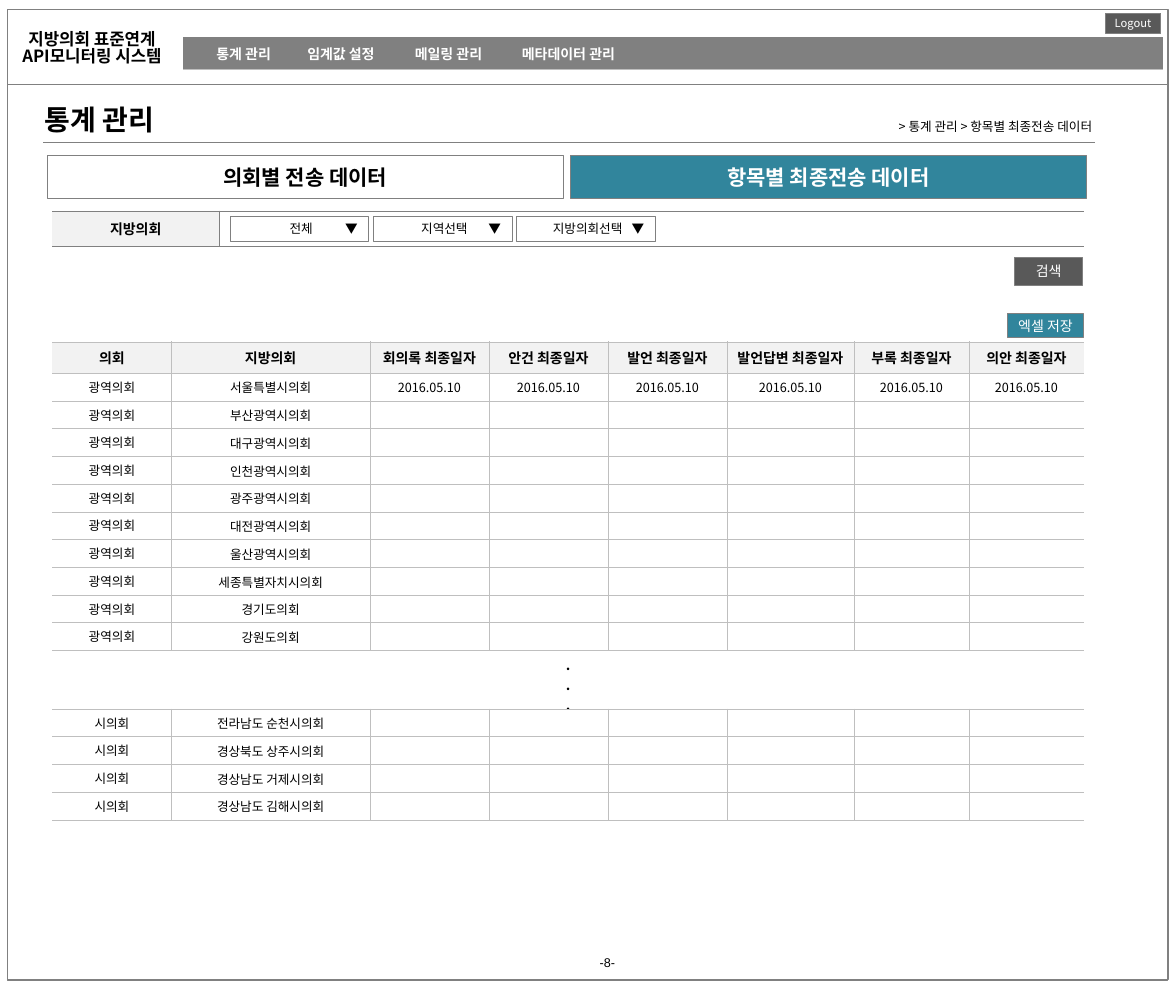
import pptx
import pptx.util
import pptx.dml.color
import pptx.enum.shapes
import pptx.enum.text
import pptx.oxml.ns
from lxml import etree

Cm, Pt = pptx.util.Cm, pptx.util.Pt
qn = pptx.oxml.ns.qn
ALIGN = pptx.enum.text.PP_ALIGN
MIDDLE = pptx.enum.text.MSO_ANCHOR.MIDDLE

FONT = "Noto Sans CJK KR"
NO_STYLE = "{2D5ABB26-0587-4C30-8999-92F81FD0307C}"
COLORS = {"text": "000000", "white": "FFFFFF", "gray": "808080", "dark": "595959",
          "teal": "31859C", "head": "F2F2F2", "grid": "BFBFBF"}

SYSTEM = "지방의회 표준연계 API모니터링 시스템"
TITLE = "통계 관리"
BREADCRUMB = "> 통계 관리 > 항목별 최종전송 데이터"
PAGE = "-8-"
MENU = [("통계 관리", 0.58), ("임계값 설정", 2.87), ("메일링 관리", 5.58), ("메타데이터 관리", 8.28)]
TABS = [("의회별 전송 데이터", "white", "text"), ("항목별 최종전송 데이터", "teal", "white")]
FILTER = "지방의회"
DROPDOWNS = ["전체", "지역선택", "지방의회선택"]
BUTTONS = [("Logout", (27.86, 0.33, 1.4, 0.51), "dark", 8),
           ("검색", (25.58, 6.48, 1.7, 0.71), "dark", 10),
           ("엑셀 저장", (25.4, 7.9, 1.9, 0.61), "teal", 10)]
HEADERS = ["의회", "지방의회", "회의록 최종일자", "안건 최종일자", "발언 최종일자",
           "발언답변 최종일자", "부록 최종일자", "의안 최종일자"]
COL_WIDTHS = [3, 5, 3, 3, 3, 3.2, 2.9, 2.9]
METRO = ["서울특별시의회", "부산광역시의회", "대구광역시의회", "인천광역시의회", "광주광역시의회",
         "대전광역시의회", "울산광역시의회", "세종특별자치시의회", "경기도의회", "강원도의회"]
CITIES = ["전라남도 순천시의회", "경상북도 상주시의회", "경상남도 거제시의회", "경상남도 김해시의회"]
LAST_SENT = {"서울특별시의회": "2016.05.10"}


def rgb(name):
    return pptx.dml.color.RGBColor.from_string(COLORS[name])


def write(tf, text, size, color="text", bold=False, align=ALIGN.CENTER, font=FONT, tabs=()):
    tf.text = text
    for p in tf.paragraphs:
        p.alignment = align
        if tabs:
            stops = etree.SubElement(p._p.get_or_add_pPr(), qn("a:tabLst"))
            for pos, kind in tabs:
                etree.SubElement(stops, qn("a:tab"), pos=str(Cm(pos)), algn=kind)
        for r in p.runs:
            r.font.size, r.font.bold, r.font.name = Pt(size), bold, font
            r.font.color.rgb = rgb(color)
            etree.SubElement(r._r.get_or_add_rPr(), qn("a:ea"), typeface=font)
        if not p.runs:
            etree.SubElement(p._p, qn("a:endParaRPr"), sz=str(size * 100))


def set_margins(target, side, top, bottom):
    target.margin_left = target.margin_right = Cm(side)
    target.margin_top, target.margin_bottom = Cm(top), Cm(bottom)


def add_rect(s, box, fill=None, width=0.25):
    sp = s.shapes.add_shape(pptx.enum.shapes.MSO_SHAPE.RECTANGLE, *map(Cm, box))
    sp.shadow.inherit = False
    if fill:
        sp.fill.solid()
        sp.fill.fore_color.rgb = rgb(fill)
    else:
        sp.fill.background()
    sp.line.color.rgb = rgb("gray")
    sp.line.width = Pt(width)
    sp.text_frame.vertical_anchor = MIDDLE
    return sp


def add_text(s, box, side, *args, **kwargs):
    tf = s.shapes.add_textbox(*map(Cm, box)).text_frame
    tf.word_wrap = True
    tf.vertical_anchor = MIDDLE
    set_margins(tf, side, 0.13, 0.13)
    write(tf, *args, **kwargs)
    return tf


def add_table(s, left, top, widths, heights):
    frame = s.shapes.add_table(len(heights), len(widths), Cm(left), Cm(top),
                               Cm(sum(widths)), Cm(sum(heights)))
    table = frame.table
    table.first_row = table.horz_banding = False
    table._tbl.tblPr.find(qn("a:tableStyleId")).text = NO_STYLE
    for col, width in zip(table.columns, widths):
        col.width = Cm(width)
    for row, height in zip(table.rows, heights):
        row.height = Cm(height)
    return table


def style_cell(cell, fill, sides, color):
    cell.vertical_anchor = MIDDLE
    tcPr = cell._tc.get_or_add_tcPr()
    for side in sides:
        ln = etree.SubElement(tcPr, qn("a:ln" + side), w=str(Pt(0.25)))
        etree.SubElement(etree.SubElement(ln, qn("a:solidFill")), qn("a:srgbClr"), val=COLORS[color])
    if fill:
        cell.fill.solid()
        cell.fill.fore_color.rgb = rgb(fill)
    else:
        cell.fill.background()


prs = pptx.Presentation()
prs.slide_width, prs.slide_height = Cm(29.64), Cm(25)
s = prs.slides.add_slide(prs.slide_layouts[5])

add_rect(s, (0.18, 0.23, 29.26, 24.46), width=0.75)
add_rect(s, (0.18, 2.11, 29.25, 22.6))
add_text(s, (6.65, 23.83, 17.32, 0.86), 0.28, PAGE, 9, font="Arial")
system = add_text(s, (0.2, 0.58, 4.24, 1.3), 0.22, SYSTEM, 12, bold=True)
system.paragraphs[0].line_spacing = 0.83

nav = add_table(s, 4.62, 0.94, [24.7], [0.81]).cell(0, 0)
write(nav.text_frame, "".join("\t" + name for name, pos in MENU), 10, "white", True, ALIGN.LEFT,
      tabs=[(pos, "l") for name, pos in MENU])
style_cell(nav, "gray", "B", "grid")

title = s.shapes.title
title.left, title.top, title.width, title.height = map(Cm, (0.84, 2.44, 10.5, 1.14))
tf = title.text_frame
tf.auto_size = pptx.enum.text.MSO_AUTO_SIZE.NONE
tf.vertical_anchor = MIDDLE
set_margins(tf, 0.28, 0.13, 0.13)
write(tf, TITLE, 20, bold=True, align=ALIGN.LEFT)

rule = s.shapes.add_connector(pptx.enum.shapes.MSO_CONNECTOR.STRAIGHT,
                              Cm(1.09), Cm(3.58), Cm(27.61), Cm(3.58))
rule.line.color.rgb = rgb("gray")
rule.line.width = Pt(0.75)
etree.SubElement(rule._element.spPr, qn("a:effectLst"))
add_text(s, (21.62, 2.87, 6.15, 0.64), 0.25, BREADCRUMB, 9, align=ALIGN.RIGHT)

for i, (name, fill, color) in enumerate(TABS):
    sp = add_rect(s, (1.19 + i * 13.19, 3.91, 13, 1.09), fill)
    write(sp.text_frame, name, 15, color, True)

filters = add_table(s, 1.32, 5.31, [4.2, 21.8], [0.89])
for c, (text, fill, sides) in enumerate([(FILTER, "head", "RTB"), ("", None, "LTB")]):
    write(filters.cell(0, c).text_frame, text, 10, bold=True)
    style_cell(filters.cell(0, c), fill, sides, "gray")

for i, name in enumerate(DROPDOWNS):
    sp = add_rect(s, (5.79 + i * 3.61, 5.46, 3.5, 0.61), "white")
    write(sp.text_frame, f"\t{name}\t▼", 9, align=ALIGN.LEFT, tabs=[(1.55, "ctr"), (2.98, "r")])

for name, box, fill, size in BUTTONS:
    tf = add_rect(s, box, fill, 0.75).text_frame
    tf.word_wrap = False
    write(tf, name, size, "white")

blank = [""] * 7
rows = [HEADERS]
rows += [["광역의회", name] + [LAST_SENT.get(name, "")] * 6 for name in METRO]
rows += [[".\n.\n."] + blank]
rows += [["시의회", name] + [""] * 6 for name in CITIES]
gap = len(METRO) + 1
heights = [0.79] + [0.7] * (len(rows) - 1)
heights[gap] = 1.46
table = add_table(s, 1.32, 8.61, COL_WIDTHS, heights)
table.cell(gap, 0).merge(table.cell(gap, 7))
for r, row in enumerate(rows):
    for c, text in enumerate(row):
        cell = table.cell(r, c)
        strong = r in (0, gap)
        tight = not strong and 1 <= c <= 5
        set_margins(cell, *((0.03, 0.03, 0) if tight else (0.1, 0.1, 0.1)))
        write(cell.text_frame, text, 10 if strong and text else 9, bold=strong)
        sides = "TB" if r == gap else ("L" if c else "") + ("R" if c < 7 else "") + "TB"
        style_cell(cell, "white" if r else "head", sides, "grid")

prs.save("out.pptx")
